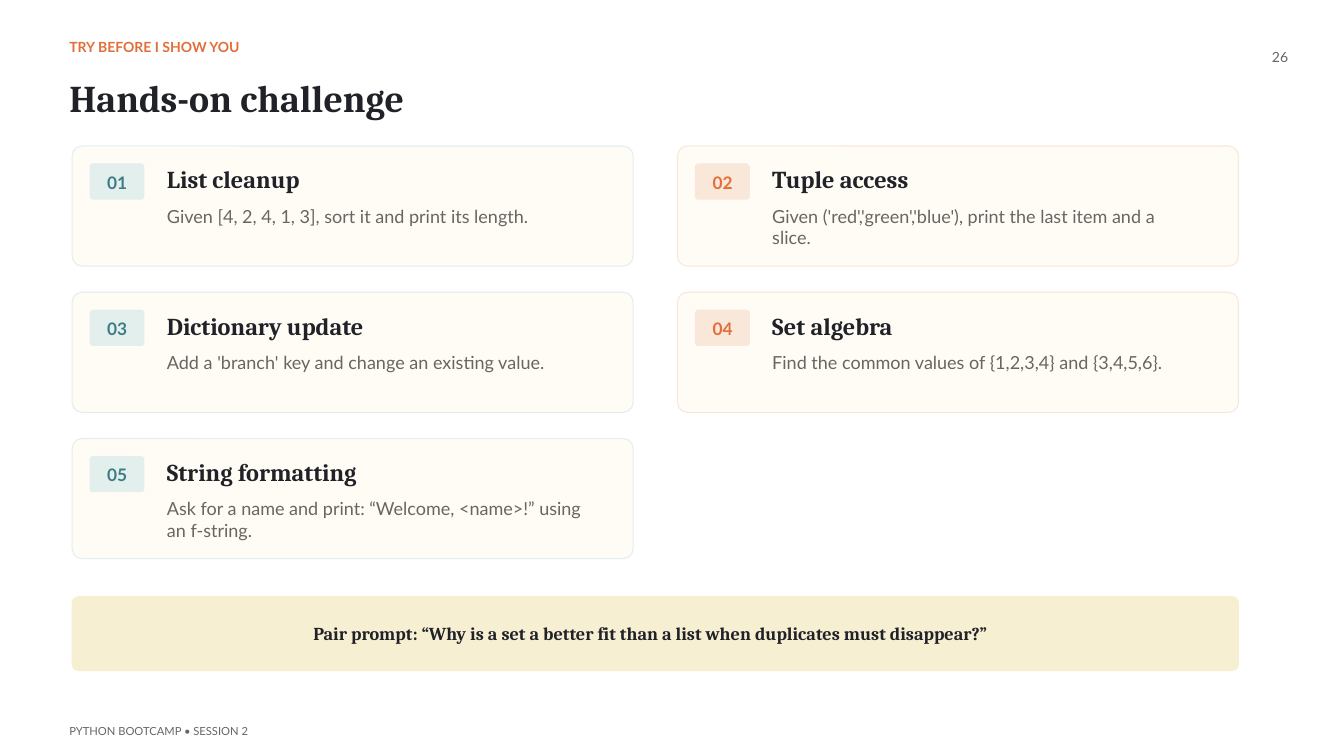
import pptx
import pptx.dml.color
import pptx.enum.shapes
import pptx.enum.text
import pptx.util
from pptx.util import Cm

ALIGN = pptx.enum.text.PP_ALIGN
INK, GREY, ORANGE, TEAL = "202228", "676662", "E26F39", "3D7D85"
CREAM, SAND, PALE_TEAL, PALE_ORANGE = "FFFCF6", "F7EFD2", "E2EFED", "F9E7D9"
SERIF, SANS = "Cambria", "Lato"

MARGIN, TEXT_LEFT, CONTENT_WIDTH = 2.73, 2.62, 44.08
CARDS_TOP, CARD_WIDTH, CARD_HEIGHT = 5.52, 21.2, 4.54
COLUMN_STEP, ROW_STEP = CONTENT_WIDTH - CARD_WIDTH, 5.53

CHALLENGES = [
    ("List cleanup", "Given [4, 2, 4, 1, 3], sort it and print its length."),
    ("Tuple access", "Given ('red','green','blue'), print the last item and a slice."),
    ("Dictionary update", "Add a 'branch' key and change an existing value."),
    ("Set algebra", "Find the common values of {1,2,3,4} and {3,4,5,6}."),
    ("String formatting", "Ask for a name and print: “Welcome, <name>!” using an f-string."),
]


def colour(value):
    """Turn a hex string into a colour."""
    return pptx.dml.color.RGBColor.from_string(value)


def add_text(slide, box, words, font, size, ink, leading, bold=False, align=ALIGN.LEFT):
    """Place one paragraph in a box given in centimetres."""
    frame = slide.shapes.add_textbox(*map(Cm, box)).text_frame
    frame.word_wrap = True
    frame.margin_left = frame.margin_right = frame.margin_top = frame.margin_bottom = 0
    paragraph = frame.paragraphs[0]
    paragraph.text = words
    paragraph.alignment = align
    paragraph.line_spacing = pptx.util.Pt(leading)
    paragraph.font.name = font
    paragraph.font.size = pptx.util.Pt(size)
    paragraph.font.bold = bold
    paragraph.font.color.rgb = colour(ink)


def add_panel(slide, box, radius, fill, outline):
    """Draw a rounded panel with a corner radius in centimetres."""
    panel = slide.shapes.add_shape(
        pptx.enum.shapes.MSO_SHAPE.ROUNDED_RECTANGLE, *map(Cm, box))
    panel.adjustments[0] = radius / min(box[2:])
    panel.shadow.inherit = False
    panel.fill.solid()
    panel.fill.fore_color.rgb = colour(fill)
    panel.line.color.rgb = colour(outline)
    panel.line.width = pptx.util.Pt(1.13)


def add_header(slide, left, top, width):
    """Place the kicker, the title and the page number."""
    add_text(slide, (left, top, 21.87, 1.09), "TRY BEFORE I SHOW YOU",
             SANS, 15, ORANGE, 18, bold=True)
    add_text(slide, (left, top + 1.37, 42.44, 2.26), "Hands-on challenge",
             SERIF, 40.5, INK, 48.6, bold=True)
    add_text(slide, (left + width - 1.85, top + 0.38, 1.85, 1.09), "26",
             SANS, 15, GREY, 18, align=ALIGN.RIGHT)


def add_card(slide, box, number, heading, task, accent, tint):
    """Place one challenge card with its number badge."""
    left, top = box[:2]
    add_panel(slide, box, 0.37, CREAM, tint)
    add_panel(slide, (left + 0.68, top + 0.68, 2.03, 1.33), 0.11, tint, tint)
    add_text(slide, (left + 1.14, top + 0.98, 1.12, 0.76), f"{number:02}",
             SANS, 18.5, accent, 22.2, bold=True, align=ALIGN.CENTER)
    add_text(slide, (left + 3.58, top + 0.7, 15.95, 1.14), heading,
             SERIF, 26, INK, 31.2, bold=True)
    add_text(slide, (left + 3.58, top + 2.24, 15.95, 1.57), task,
             SANS, 19.3, GREY, 23.1)


def add_cards(slide, left, top):
    """Lay the challenges out in two columns, one accent per column."""
    accents = [(TEAL, PALE_TEAL), (ORANGE, PALE_ORANGE)]
    for index, (heading, task) in enumerate(CHALLENGES):
        row, column = divmod(index, 2)
        box = (left + column * COLUMN_STEP, top + row * ROW_STEP, CARD_WIDTH, CARD_HEIGHT)
        add_card(slide, box, index + 1, heading, task, *accents[column])


def add_prompt(slide, box):
    """Place the pair prompt in its band."""
    left, top = box[:2]
    add_panel(slide, box, 0.23, SAND, SAND)
    add_text(slide, (left + 1.03, top + 0.96, 41.68, 0.91),
             "Pair prompt: “Why is a set a better fit than a list when duplicates must disappear?”",
             SERIF, 19.5, INK, 23.4, bold=True, align=ALIGN.CENTER)


def add_footer(slide, box):
    """Place the course line at the foot."""
    add_text(slide, box, "PYTHON BOOTCAMP • SESSION 2", SANS, 12, GREY, 14.4)


def main():
    """Build the challenge slide."""
    deck = pptx.Presentation()
    deck.slide_width, deck.slide_height = Cm(50.8), Cm(28.58)
    slide = deck.slides.add_slide(deck.slide_layouts[6])
    add_header(slide, TEXT_LEFT, 1.47, 46.07)
    add_cards(slide, MARGIN, CARDS_TOP)
    add_prompt(slide, (MARGIN, 22.56, CONTENT_WIDTH, 2.79))
    add_footer(slide, (TEXT_LEFT, 27.38, 24.54, 0.58))
    deck.save("out.pptx")


if __name__ == "__main__":
    main()
